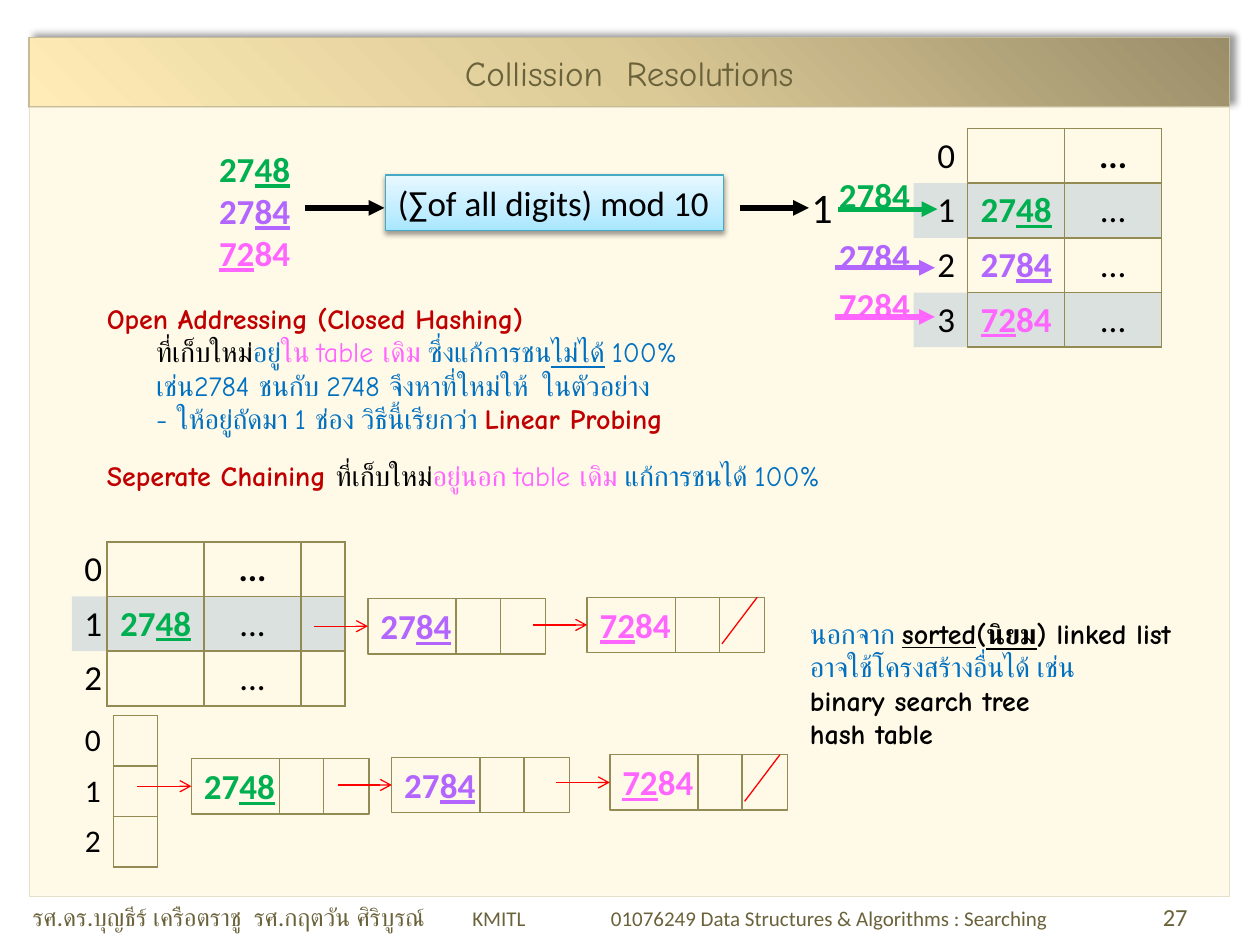
from dataclasses import dataclass

from lxml.etree import SubElement
from pptx import Presentation
from pptx.dml.color import RGBColor
from pptx.enum.shapes import MSO_CONNECTOR, MSO_SHAPE
from pptx.enum.text import MSO_ANCHOR as Anchor, PP_ALIGN as Align
from pptx.oxml.ns import qn
from pptx.util import Inches, Pt

WIDTH, HEIGHT = Inches(10), Inches(7.5)
COLUMNS, ROWS = 100, 75
NO_STYLE = "{2D5ABB26-0587-4C30-8999-92F81FD0307C}"


@dataclass(frozen=True)
class Theme:
    body: str = "Calibri"
    comic: str = "Comic Neue"
    title: int = 20
    big: int = 24
    key: int = 20
    index: int = 18
    note: int = 16
    footer: int = 14
    small: int = 12
    black: str = "000000"
    green: str = "00B050"
    purple: str = "B265FF"
    pink: str = "FF66FF"
    red: str = "C00000"
    blue: str = "0070C0"
    link: str = "FF0000"
    olive: str = "6A623A"
    border: str = "948A54"
    band: str = "4F81BD"
    page: str = "FFF9E7"
    page_line: str = "E7DFC9"
    title_line: str = "C4BD97"
    title_fill: tuple = ((0, "9A8D69"), (50, "DBC996"), (100, "FFECB7"))
    hash_line: str = "46AAC5"
    hash_fill: tuple = ((0, "A7E6FF"), (35, "C1EDFF"), (100, "E7F8FF"))


T = Theme()

# Runs are (text, colour, style), where style holds b for bold and u for underline
KEYS = {
    "2748": [("27", T.green, "b"), ("48", T.green, "bu")],
    "2784": [("27", T.purple, "b"), ("84", T.purple, "bu")],
    "7284": [("72", T.pink, "bu"), ("84", T.pink, "b")],
}
DOTS, BOLD_DOTS = [("...", T.black, "")], [("...", T.black, "b")]


def column(count):
    return round(WIDTH * count / COLUMNS)


def row(count):
    return round(HEIGHT * count / ROWS)


def box(left, top, width, height):
    return column(left), row(top), column(width), row(height)


def color(value):
    return RGBColor.from_string(value)


def write(paragraph, runs, size, font=T.body):
    paragraph.font.name, paragraph.font.size = font, Pt(size)
    for text, ink, style in runs:
        for number, line in enumerate(text.split("\n")):
            if number:
                paragraph.add_line_break()
            if line:
                run = paragraph.add_run()
                run.text = line
                run.font.color.rgb = color(ink)
                run.font.bold = "b" in style
                run.font.underline = "u" in style


def add_text(slide, place, lines, size, font=T.body, wrap=True):
    frame = slide.shapes.add_textbox(*box(*place)).text_frame
    frame.word_wrap = wrap
    for number, runs in enumerate(lines):
        write(frame.add_paragraph() if number else frame.paragraphs[0], runs, size, font)
    return frame


def add_rectangle(slide, place, line, width=0.75, fill=None):
    shape = slide.shapes.add_shape(MSO_SHAPE.RECTANGLE, *box(*place))
    shape.shadow.inherit = False
    shape.line.color.rgb, shape.line.width = color(line), Pt(width)
    if fill:
        shape.fill.solid()
        shape.fill.fore_color.rgb = color(fill)
    else:
        shape.fill.background()
    shape.text_frame.paragraphs[0].alignment = Align.LEFT
    return shape


def add_gradient_and_shadow(shape, stops, angle, shadow):
    shape.fill.gradient()
    properties = shape.fill._xPr
    gradient = properties.find(qn("a:gradFill"))
    stop_list = gradient.find(qn("a:gsLst"))
    for stop in list(stop_list):
        stop_list.remove(stop)
    for position, value in stops:
        stop = SubElement(stop_list, qn("a:gs"), pos=str(position * 1000))
        SubElement(stop, qn("a:srgbClr"), val=value)
    gradient.find(qn("a:lin")).set("ang", str(angle * 60000))
    opacity, blur, distance, direction = shadow
    shape.shadow.inherit = False
    outer = SubElement(properties.find(qn("a:effectLst")), qn("a:outerShdw"),
                       blurRad=str(Pt(blur)), dist=str(Pt(distance)),
                       dir=str(direction * 60000), rotWithShape="0")
    ink = SubElement(outer, qn("a:srgbClr"), val=T.black)
    SubElement(ink, qn("a:alpha"), val=str(opacity * 1000))


def add_line(slide, start, end, ink, width=0.75, head=None):
    line = slide.shapes.add_connector(MSO_CONNECTOR.STRAIGHT, column(start[0]), row(start[1]),
                                      column(end[0]), row(end[1]))
    line.line.color.rgb, line.line.width = color(ink), Pt(width)
    if head:
        SubElement(line.line._get_or_add_ln(), qn("a:tailEnd"), type=head)
    SubElement(line._element.spPr, qn("a:effectLst"))


def format_cell(cell, sides, banded):
    properties = cell._tc.get_or_add_tcPr()
    for side in "LRTB":
        line = SubElement(properties, qn(f"a:ln{side}"), w=str(Pt(1)))
        if side in sides:
            SubElement(SubElement(line, qn("a:solidFill")), qn("a:srgbClr"), val=T.border)
        else:
            SubElement(line, qn("a:noFill"))
    if banded:
        cell.fill.solid()
        cell.fill.fore_color.rgb = color(T.band)
        ink = properties.find(qn("a:solidFill")).find(qn("a:srgbClr"))
        SubElement(ink, qn("a:alpha"), val="20000")
    else:
        cell.fill.background()


def add_hash_table(slide, left, top, widths, height, rows, size=T.key, margin=1, banded=True):
    """Each row gets its index in an open first column."""
    place = box(left, top, sum(widths), height * len(rows))
    frame = slide.shapes.add_table(len(rows), len(widths), *place)
    table = frame.table
    table.first_row = table.horz_banding = False
    table._tbl.tblPr.find(qn("a:tableStyleId")).text = NO_STYLE
    for number, width in enumerate(widths):
        table.columns[number].width = column(width)
    for index, contents in enumerate(rows):
        table.rows[index].height = row(height)
        for number, runs in enumerate([[(str(index), T.black, "")], *contents]):
            cell = table.cell(index, number)
            format_cell(cell, "LRTB" if number else "R", banded and index % 2)
            paragraph = cell.text_frame.paragraphs[0]
            paragraph.alignment = Align.CENTER if number else Align.RIGHT
            if not number:
                cell.margin_left = cell.margin_right = column(margin)
            write(paragraph, runs, size)


def add_chain(slide, nodes):
    """Linked nodes, each with an arrow into it; the last ends in a slash."""
    for number, (key, left, top) in enumerate(nodes):
        node = add_rectangle(slide, (left, top, 14.1, 4.4), T.border)
        node.text_frame.word_wrap = True
        node.text_frame.vertical_anchor = Anchor.TOP
        write(node.text_frame.paragraphs[0], KEYS[key], T.key)
        for offset in (7, 10.5):
            add_line(slide, (left + offset, top), (left + offset, top + 4.4), T.border)
        add_line(slide, (left - 4.3, top + 2.2), (left, top + 2.2), T.link, head="arrow")
        if number == len(nodes) - 1:
            add_line(slide, (left + 10.7, top + 3.7), (left + 13.5, top), T.link)


def add_note(slide, place, runs):
    paragraph = add_text(slide, place, [runs], T.note, T.comic).paragraphs[0]
    properties = paragraph._p.get_or_add_pPr()
    properties.set("marL", str(column(5.9)))
    properties.set("indent", str(-column(3.9)))


def add_frame(slide):
    add_rectangle(slide, (2.3, 8.5, 95.3, 62.6), T.page_line, 0.25, T.page)
    title = slide.shapes.title
    title.left, title.top, title.width, title.height = box(2.3, 3, 95.3, 5.5)
    title.line.color.rgb, title.line.width = color(T.title_line), Pt(0.75)
    add_gradient_and_shadow(title, T.title_fill, 135, (40, 4, 3, 315))
    title.text_frame.vertical_anchor = Anchor.MIDDLE
    title.text_frame.paragraphs[0].alignment = Align.CENTER
    write(title.text_frame.paragraphs[0], [("Collission  Resolutions", T.olive, "")],
          T.title, T.comic)
    # Footer, set on tab stops
    footer = add_text(slide, (1.6, 71.1, 96.9, 3.4), [[
        ("รศ.ดร.บุญธีร์ เครือตราชู  รศ.กฤตวัน ศิริบูรณ์", T.olive, ""),
        ("\tKMITL\t01076249 Data Structures & Algorithms : Searching", T.olive, ""),
        ("\t27", T.olive, "")]], T.footer).paragraphs[0]
    footer.runs[1].font.size = Pt(T.small)
    stops = SubElement(footer._p.get_or_add_pPr(), qn("a:tabLst"))
    footer._p.pPr.insert(0, stops)
    for position in (34.9, 45.9, 89.7):
        SubElement(stops, qn("a:tab"), pos=str(column(position)), algn="l")


def add_hashing(slide):
    add_text(slide, (16.4, 11.2, 7.7, 11.1), KEYS.values(), T.key, wrap=False)
    function = add_rectangle(slide, (30.6, 13.9, 26.8, 4.4), T.hash_line)
    add_gradient_and_shadow(function, T.hash_fill, 270, (38, 3.1, 1.6, 90))
    function.text_frame.word_wrap = False
    write(function.text_frame.paragraphs[0], [("(∑of all digits) mod 10", T.black, "")], T.key)
    for start, end in ((24.2, 30.5), (58.7, 64.2)):
        add_line(slide, (start, 16.5), (end, 16.5), T.black, 3, "triangle")
    add_text(slide, (63.4, 13.9, 5.5, 5), [[("1", T.black, "")]], T.big)
    add_hash_table(slide, 72.5, 10.2, (4.3, 7.7, 7.7), 4.33,
                   [([], BOLD_DOTS), *((runs, DOTS) for runs in KEYS.values())])
    # Probes into the table
    for key, ink, top, left, level in (("2784", T.green, 13.3, 66.5, 16.6),
                                       ("2784", T.purple, 18.1, 66.3, 21.25),
                                       ("7284", T.pink, 22, 66.3, 25.15)):
        add_text(slide, (65.6, top, 7.9, 4.4), [[(key, ink, "b")]], T.key)
        add_line(slide, (left, level), (left + 7.9, level), ink, 3, "triangle")


def add_notes(slide):
    add_note(slide, (5.5, 23.4, 70.3, 11.8), [
        ("Open Addressing (Closed Hashing)\n", T.red, "b"), ("ที่เก็บใหม่", T.black, ""),
        ("อยู่", T.blue, ""), ("ใน table เดิม ", T.pink, ""), ("ซึ่งแก้การชน", T.blue, ""),
        ("ไม่ได้", T.blue, "u"),
        (" 100%\nเช่น2784 ชนกับ 2748 จึงหาที่ใหม่ให้  ในตัวอย่าง\n"
         "- ให้อยู่ถัดมา 1 ช่อง วิธีนี้เรียกว่า ", T.blue, ""),
        ("Linear Probing", T.red, "b")])
    add_note(slide, (5.5, 35.9, 70.3, 3.7), [
        ("Seperate Chaining ", T.red, "b"), ("ที่เก็บใหม่", T.black, ""),
        ("อยู่นอก table เดิม ", T.pink, ""), ("แก้การชนได้ 100%", T.blue, "")])
    add_text(slide, (63.3, 48.4, 35.4, 11.8), [[
        ("นอกจาก ", T.blue, ""), ("sorted", T.black, "bu"), ("(", T.black, "b"),
        ("นิยม", T.black, "bu"), (") linked list\n", T.black, "b"),
        ("อาจใช้โครงสร้างอื่นได้ เช่น\n", T.blue, ""),
        ("binary search tree\nhash table", T.black, "b")]], T.note, T.comic)


def add_chaining(slide):
    add_hash_table(slide, 5.7, 43, (2.8, 7.7, 7.7, 3.5), 4.33,
                   [([], BOLD_DOTS, []), (KEYS["2748"], DOTS, []), ([], DOTS, [])], margin=0.4)
    add_chain(slide, [("2784", 29.2, 47.5), ("7284", 46.6, 47.4)])
    add_hash_table(slide, 5.5, 56.8, (3.5, 3.5), 4, [([],)] * 3, T.index, banded=False)
    add_chain(slide, [("2748", 15.2, 60.2), ("2784", 31.1, 60.1), ("7284", 48.4, 59.9)])


def main():
    presentation = Presentation()
    presentation.slide_width, presentation.slide_height = WIDTH, HEIGHT
    slide = presentation.slides.add_slide(presentation.slide_layouts[5])
    for add_part in (add_frame, add_hashing, add_notes, add_chaining):
        add_part(slide)
    presentation.save("out.pptx")


if __name__ == "__main__":
    main()
